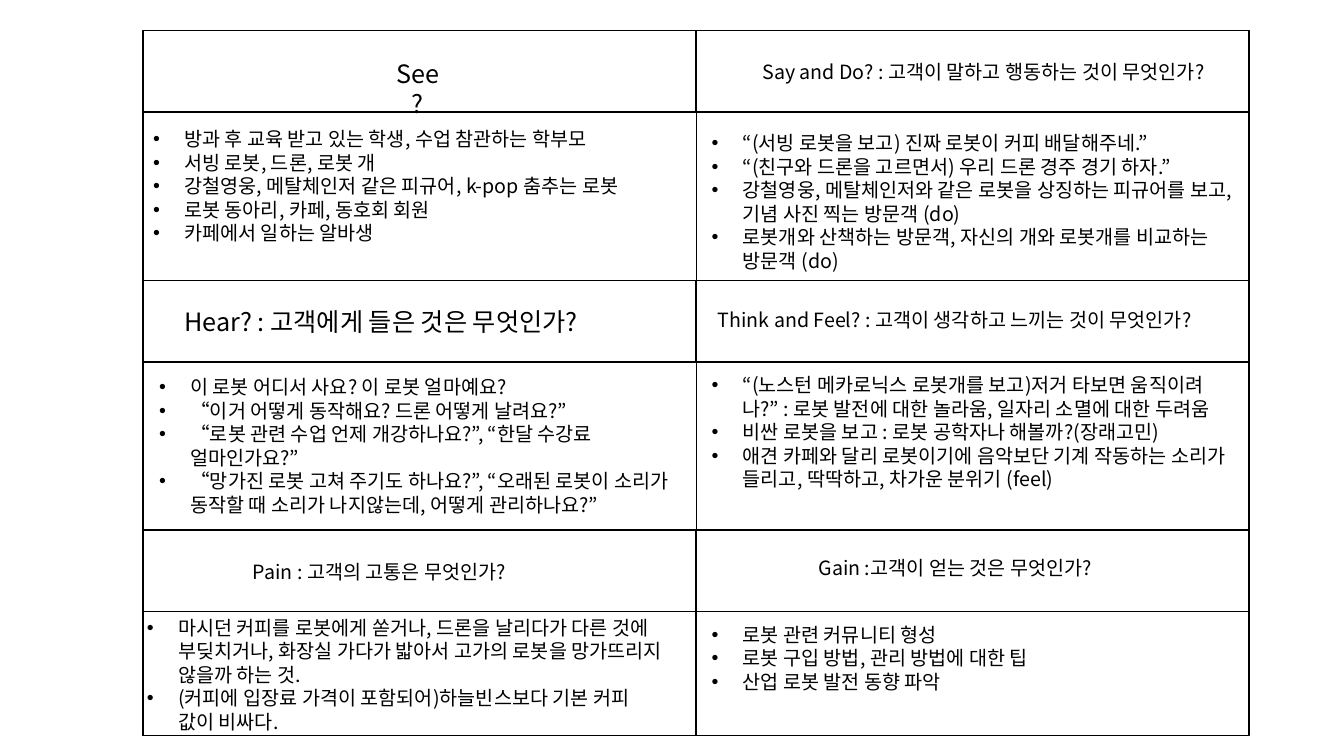
from dataclasses import dataclass

import pptx
import pptx.dml.color
import pptx.enum.shapes
import pptx.enum.text
import pptx.oxml
import pptx.oxml.ns
import pptx.presentation
import pptx.shapes.autoshape
import pptx.slide
import pptx.util
from pptx.util import Inches


@dataclass(frozen=True)
class Theme:
    font: str = "Noto Sans CJK KR"
    ink: str = "000000"
    accent: str = "4472C4"
    body_size: int = 14
    large_size: int = 18
    frame_width: float = 1
    divider_width: float = 0.5
    bullet_indent: float = 0.31
    heading_indent: float = 0.5


@dataclass(frozen=True)
class Box:
    left: float
    top: float
    width: float
    height: float

    def lengths(self) -> tuple[int, ...]:
        return tuple(Inches(v) for v in (self.left, self.top, self.width, self.height))


@dataclass(frozen=True)
class Heading:
    text: str
    box: Box
    size: int = 14
    centered: bool = False


@dataclass(frozen=True)
class Answers:
    box: Box
    items: tuple[str, ...]


THEME = Theme()
LEFT, TOP, COLUMN, BAND, HEADER = 1.42, 0.3, 5.485, 2.48, 0.81
MIDDLE, RIGHT = LEFT + COLUMN, LEFT + 2 * COLUMN
PAIN_TOP, PAIN_HEIGHT = TOP + 2 * BAND, 2.04

FRAMES = [
    Box(LEFT, TOP, 2 * COLUMN, 2 * BAND),
    Box(LEFT, PAIN_TOP, 2 * COLUMN, PAIN_HEIGHT),
    Box(LEFT, PAIN_TOP, COLUMN, PAIN_HEIGHT),
]
HEADER_FRAMES = [
    Box(LEFT + column * COLUMN, TOP + row * BAND, COLUMN, HEADER)
    for row in range(3)
    for column in range(2)
]

HEADINGS = [
    Heading("Hear? : 고객에게 들은 것은 무엇인가?", Box(1.73, 2.99, 5.11, 0.4), THEME.large_size),
    Heading("Think and Feel? : 고객이 생각하고 느끼는 것이 무엇인가?", Box(7.02, 3.01, 5.31, 0.34)),
    Heading("Say and Do? : 고객이 말하고 행동하는 것이 무엇인가?", Box(6.79, 0.55, 5.43, 0.34),
            centered=True),
    Heading("See?", Box(3.28, 0.53, 1.23, 0.4), THEME.large_size, centered=True),
    Heading("Pain : 고객의 고통은 무엇인가?", Box(2.41, 5.51, 2.98, 0.34)),
    Heading("Gain :고객이 얻는 것은 무엇인가?", Box(8.02, 5.47, 3.81, 0.34)),
]

ANSWERS = [
    Answers(Box(1.42, 1.21, 5.37, 1.28), (
        "방과 후 교육 받고 있는 학생, 수업 참관하는 학부모",
        "서빙 로봇, 드론, 로봇 개",
        "강철영웅, 메탈체인저 같은 피규어, k-pop 춤추는 로봇",
        "로봇 동아리, 카페, 동호회 회원",
        "카페에서 일하는 알바생",
    )),
    Answers(Box(1.48, 3.67, 5.37, 1.51), (
        "이 로봇 어디서 사요? 이 로봇 얼마예요?",
        "“이거 어떻게 동작해요? 드론 어떻게 날려요?”",
        "“로봇 관련 수업 언제 개강하나요?”, “한달 수강료 얼마인가요?”",
        "“망가진 로봇 고쳐 주기도 하나요?”, “오래된 로봇이 소리가 동작할 때 "
        "소리가 나지않는데, 어떻게 관리하나요?”",
    )),
    Answers(Box(6.96, 3.65, 5.43, 1.75), (
        "“(노스턴 메카로닉스 로봇개를 보고)저거 타보면 움직이려나?” : "
        "로봇 발전에 대한 놀라움, 일자리 소멸에 대한 두려움",
        "비싼 로봇을 보고 : 로봇 공학자나 해볼까?(장래고민)",
        "애견 카페와 달리 로봇이기에 음악보단 기계 작동하는 소리가 들리고, "
        "딱딱하고, 차가운 분위기 (feel)",
    )),
    Answers(Box(6.96, 1.25, 5.37, 1.99), (
        "“(서빙 로봇을 보고) 진짜 로봇이 커피 배달해주네.”",
        "“(친구와 드론을 고르면서) 우리 드론 경주 경기 하자.”",
        "강철영웅, 메탈체인저와 같은 로봇을 상징하는 피규어를 보고, "
        "기념 사진 찍는 방문객 (do)",
        "로봇개와 산책하는 방문객, 자신의 개와 로봇개를 비교하는 방문객 (do)",
    )),
    Answers(Box(1.36, 6.06, 5.37, 1.51), (
        "마시던 커피를 로봇에게 쏟거나, 드론을 날리다가 다른 것에 부딪치거나, "
        "화장실 가다가 밟아서 고가의 로봇을 망가뜨리지 않을까 하는 것.",
        "(커피에 입장료 가격이 포함되어)하늘빈스보다 기본 커피 값이 비싸다.",
    )),
    Answers(Box(6.96, 6.13, 5.37, 0.81), (
        "로봇 관련 커뮤니티 형성",
        "로봇 구입 방법, 관리 방법에 대한 팁",
        "산업 로봇 발전 동향 파악",
    )),
]


def color(value: str) -> pptx.dml.color.RGBColor:
    return pptx.dml.color.RGBColor.from_string(value)


def add_frame(page: pptx.slide.Slide, box: Box) -> None:
    frame = page.shapes.add_shape(pptx.enum.shapes.MSO_SHAPE.RECTANGLE, *box.lengths())
    frame.shadow.inherit = False
    frame.fill.background()
    frame.line.color.rgb = color(THEME.ink)
    frame.line.width = pptx.util.Pt(THEME.frame_width)


def add_divider(page: pptx.slide.Slide, start: tuple[float, float],
                end: tuple[float, float], line_color: str) -> None:
    divider = page.shapes.add_connector(
        pptx.enum.shapes.MSO_CONNECTOR.STRAIGHT, *map(Inches, start + end))
    divider.line.color.rgb = color(line_color)
    divider.line.width = pptx.util.Pt(THEME.divider_width)
    pptx.oxml.ns.qn("a:effectLst")
    divider._element.spPr.append(pptx.oxml.parse_xml(
        f"<a:effectLst {pptx.oxml.ns.nsdecls('a')}/>"))


def add_text(page: pptx.slide.Slide, box: Box, lines: tuple[str, ...],
             size: int) -> list:
    """Add a wrapped text box and return its paragraphs."""
    frame = page.shapes.add_textbox(*box.lengths()).text_frame
    frame.word_wrap = True
    frame.auto_size = pptx.enum.text.MSO_AUTO_SIZE.SHAPE_TO_FIT_TEXT
    frame.text = "\n".join(lines)
    font_format = {"name": THEME.font, "size": pptx.util.Pt(size)}
    for para in frame.paragraphs:
        for span in para.runs:
            for name, value in font_format.items():
                setattr(span.font, name, value)
            span.font.color.rgb = color(THEME.ink)
            east_asian = pptx.oxml.parse_xml(
                f'<a:ea {pptx.oxml.ns.nsdecls("a")} typeface="{THEME.font}"/>')
            span.font._element.append(east_asian)
    return list(frame.paragraphs)


def add_heading(page: pptx.slide.Slide, heading: Heading) -> None:
    para = add_text(page, heading.box, (heading.text,), heading.size)[0]
    if heading.centered:
        para.level = 1
        para.alignment = pptx.enum.text.PP_ALIGN.CENTER
        para._p.get_or_add_pPr().set("marL", str(Inches(THEME.heading_indent)))


def add_answers(page: pptx.slide.Slide, answers: Answers) -> None:
    indent = Inches(THEME.bullet_indent)
    for para in add_text(page, answers.box, answers.items, THEME.body_size):
        properties = para._p.get_or_add_pPr()
        for name, value in {"marL": indent, "indent": -indent}.items():
            properties.set(name, str(value))
        for tag in ('buFont typeface="Arial"', 'buChar char="•"'):
            name, attribute = tag.split(" ", 1)
            properties.append(pptx.oxml.parse_xml(
                f"<a:{name} {pptx.oxml.ns.nsdecls('a')} {attribute}/>"))


def main() -> None:
    deck = pptx.Presentation()
    deck.slide_width, deck.slide_height = Inches(13.33), Inches(7.5)
    page = deck.slides.add_slide(deck.slide_layouts[6])
    for box in FRAMES:
        add_frame(page, box)
    add_divider(page, (RIGHT, TOP + BAND), (LEFT, TOP + BAND), THEME.accent)
    add_divider(page, (MIDDLE, TOP), (MIDDLE, PAIN_TOP), THEME.ink)
    for box in HEADER_FRAMES:
        add_frame(page, box)
    for heading in HEADINGS:
        add_heading(page, heading)
    for answers in ANSWERS:
        add_answers(page, answers)
    deck.save("out.pptx")


if __name__ == "__main__":
    main()
